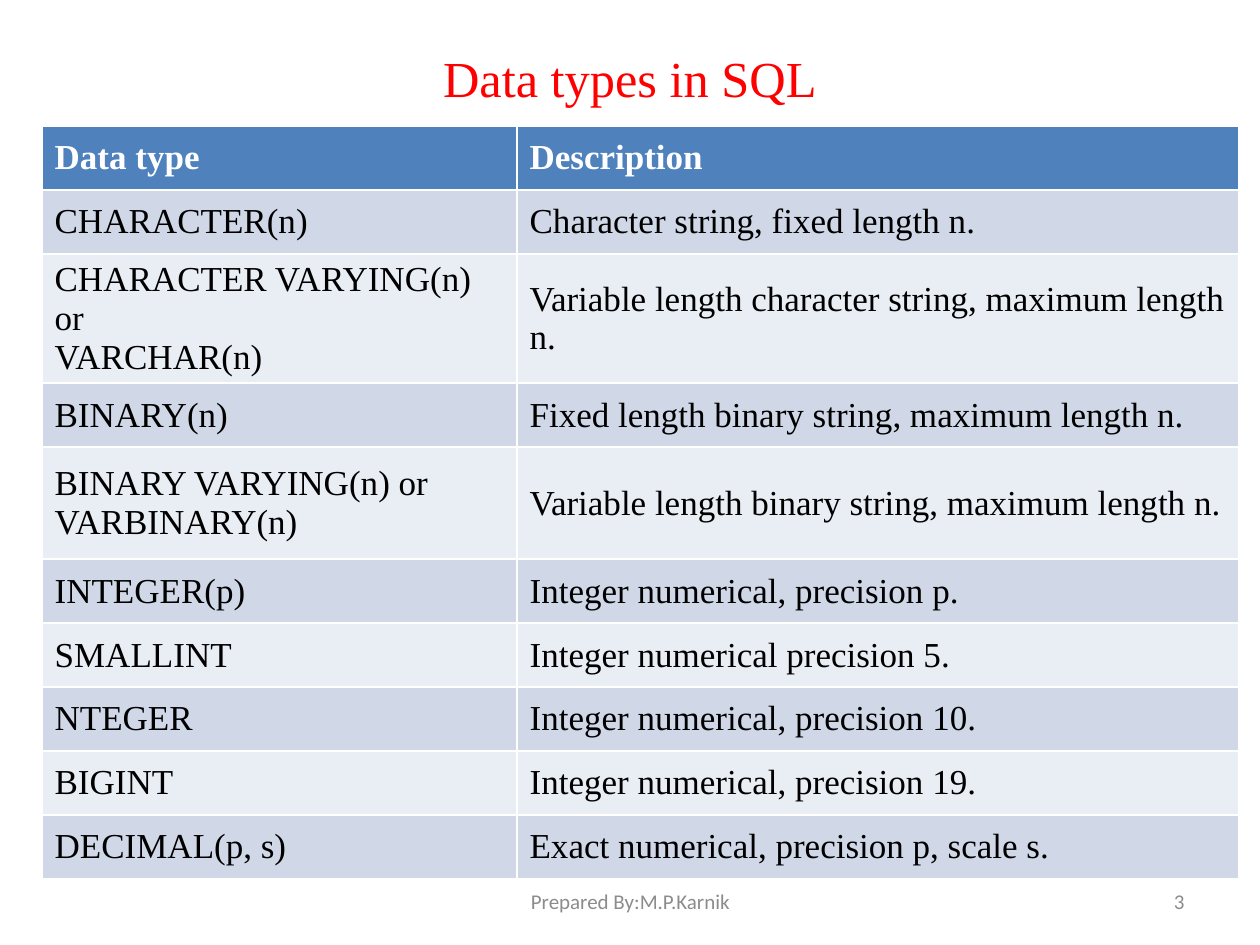
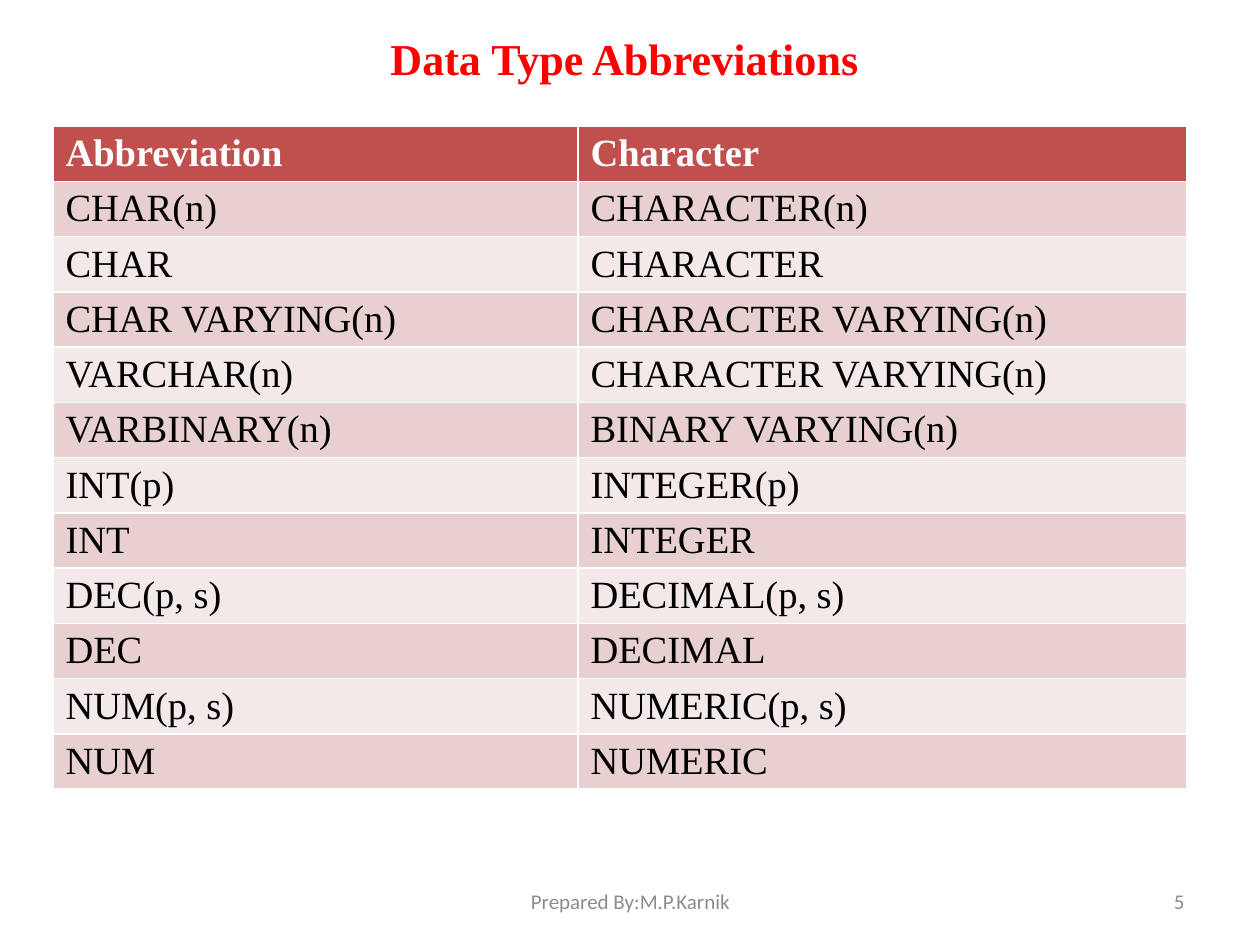
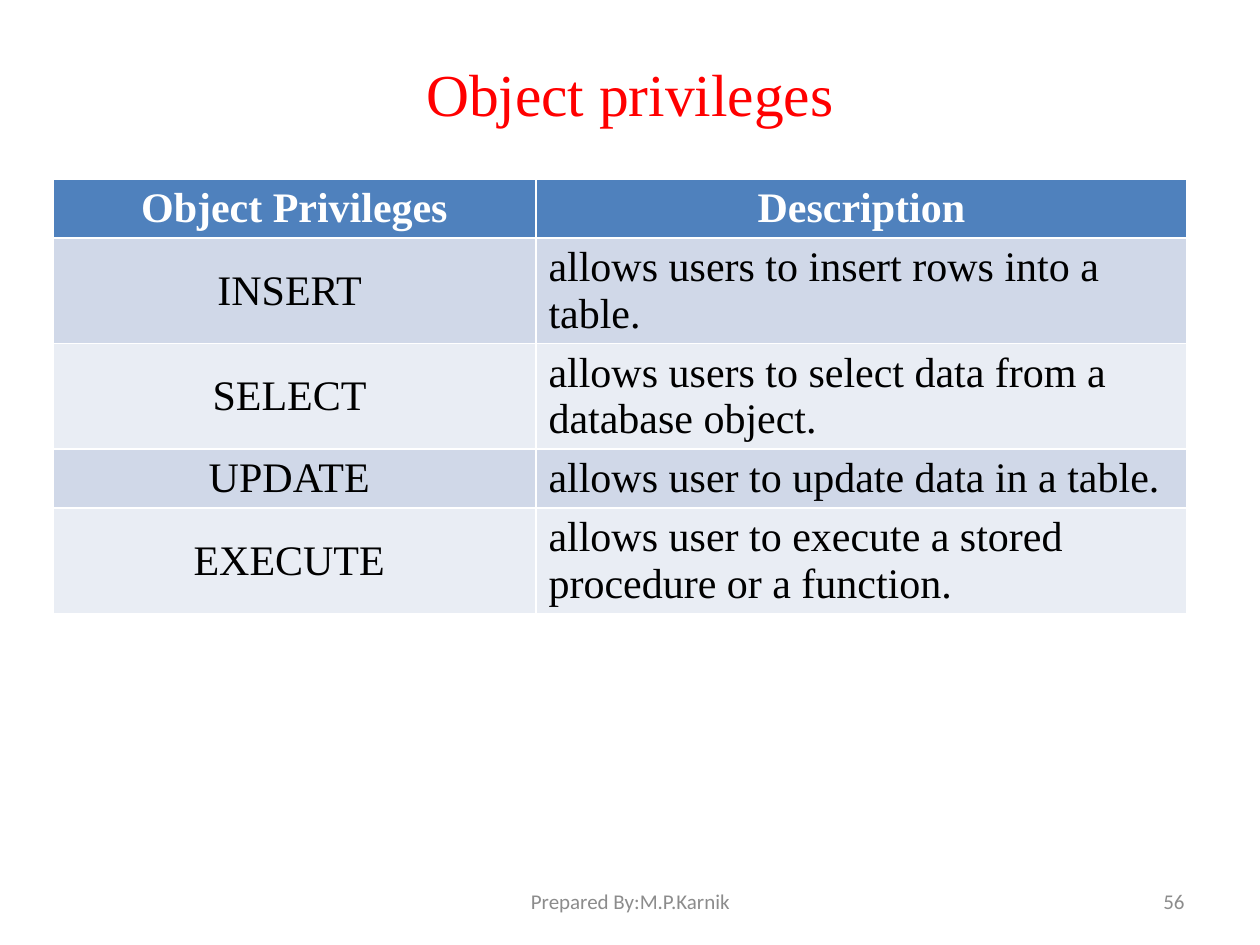
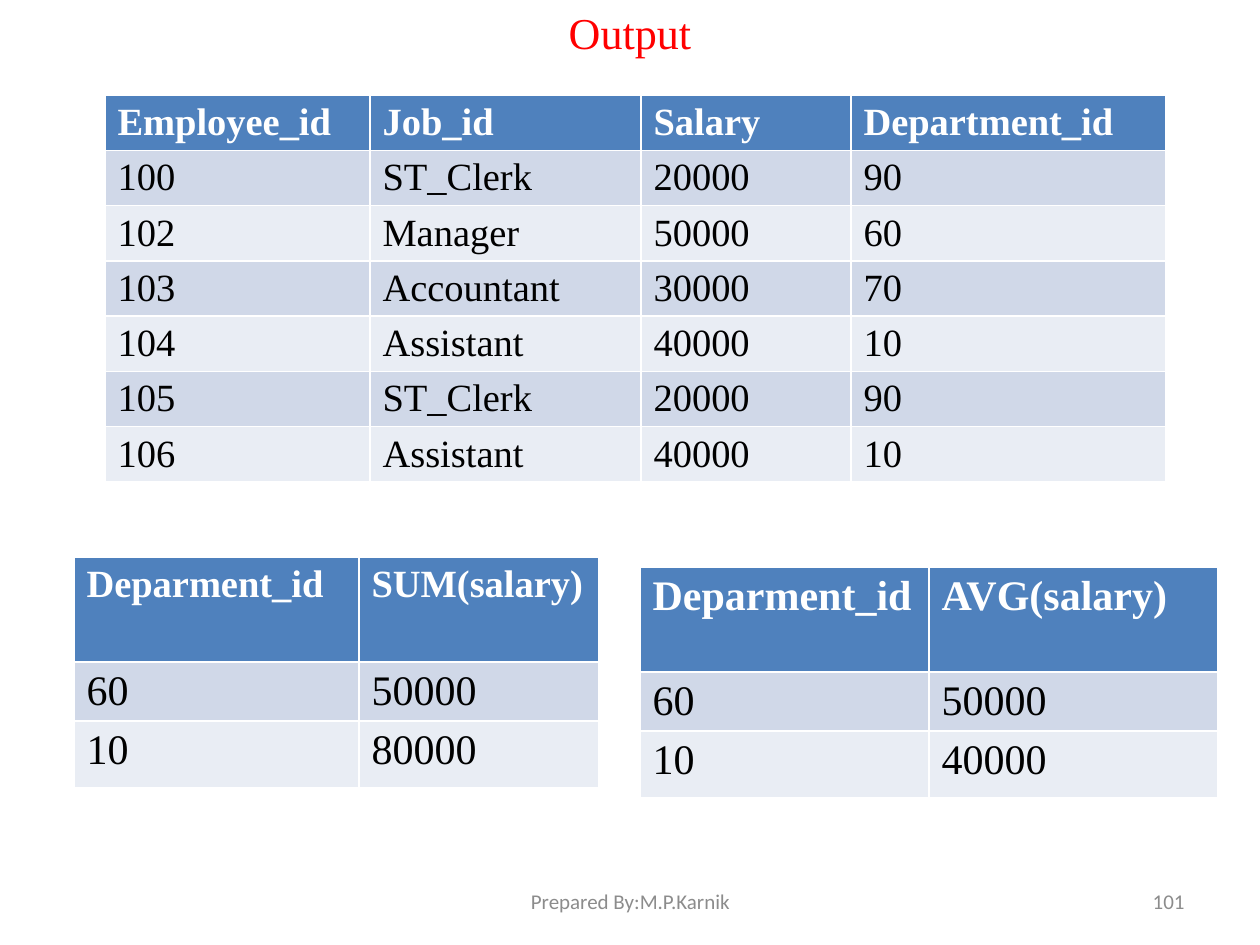
from pptx import Presentation
from pptx.dml.color import RGBColor
from pptx.enum.text import MSO_ANCHOR, MSO_AUTO_SIZE, PP_ALIGN
from pptx.util import Emu, Pt

TOP, MIDDLE = MSO_ANCHOR.TOP, MSO_ANCHOR.MIDDLE
LEFT, CENTER, RIGHT = PP_ALIGN.LEFT, PP_ALIGN.CENTER, PP_ALIGN.RIGHT
NO_FIT = MSO_AUTO_SIZE.NONE

RED = RGBColor(0xFF, 0x00, 0x00)
WHITE = RGBColor(0xFF, 0xFF, 0xFF)
BLACK = RGBColor(0x00, 0x00, 0x00)
GREY = RGBColor(0x8C, 0x8C, 0x8C)
BLUES = (RGBColor(0x4F, 0x81, 0xBD), RGBColor(0xD0, 0xD8, 0xE8), RGBColor(0xE9, 0xED, 0xF4))
REDS = (RGBColor(0xC0, 0x50, 0x4D), RGBColor(0xE8, 0xD0, 0xD0), RGBColor(0xF4, 0xE9, 0xE9))

SERIF, SANS = "Times New Roman", "Calibri"
SCALE = 914400 / 126
TITLE_ONLY = 5
ROW = 52


def px(*lengths):
    return [Emu(round(length * SCALE)) for length in lengths]


def write(frame, text, align, font, size, color, bold=False):
    para = frame.paragraphs[0]
    para.text = text
    para.alignment = align
    look = {"name": font, "size": Pt(size), "bold": bold}
    for span in para.runs:
        for name, value in look.items():
            setattr(span.font, name, value)
        span.font.color.rgb = color


data_types = {
    "place": (42, 126, 1197, 761), "columns": (475, 722),
    "heights": (64, 64, 112, 64, 112, 64, 64, 64, 64, 64),
    "sizes": (20, 20), "anchor": MIDDLE,
    "rows": [
        ("Data type ", "Description "),
        ("CHARACTER(n)", "Character string, fixed length n.  "),
        ("CHARACTER VARYING(n) or\nVARCHAR(n)", "Variable length character string, maximum length n."),
        ("BINARY(n)", "Fixed length binary string, maximum length n."),
        ("BINARY VARYING(n) or\nVARBINARY(n)", "Variable length binary string, maximum length n."),
        ("INTEGER(p)", "Integer numerical, precision p."),
        ("SMALLINT", "Integer numerical precision 5."),
        ("NTEGER", "Integer numerical, precision 10."),
        ("BIGINT", "Integer numerical, precision 19."),
        ("DECIMAL(p, s)", "Exact numerical, precision p, scale s."),
    ],
}
abbreviations = {
    "place": (53, 126, 1134, 706), "columns": (525, 609), "heights": (ROW,) * 12,
    "sizes": (22, 22), "anchor": MIDDLE, "palette": REDS,
    "rows": [
        ("Abbreviation ", "Character "),
        ("CHAR(n)", "CHARACTER(n)"),
        ("CHAR", "CHARACTER"),
        ("CHAR VARYING(n)", "CHARACTER VARYING(n)"),
        ("VARCHAR(n)", "CHARACTER VARYING(n)"),
        ("VARBINARY(n)", "BINARY VARYING(n)"),
        ("INT(p)", "INTEGER(p)"),
        ("INT", "INTEGER"),
        ("DEC(p, s)", "DECIMAL(p, s)"),
        ("DEC", "DECIMAL"),
        ("NUM(p, s)", "NUMERIC(p, s)"),
        ("NUM", "NUMERIC"),
    ],
}
privileges = {
    "place": (53, 179, 1134, 466), "columns": (483, 651), "heights": (ROW,) * 5,
    "sizes": (24, 24), "anchor": MIDDLE, "centered": True,
    "rows": [
        ("Object Privileges", "Description"),
        ("INSERT ", "allows users to insert rows into a table."),
        ("SELECT ", "allows users to select data from a database object."),
        ("UPDATE ", "allows user to update data in a table."),
        ("EXECUTE ", "allows user to execute a stored procedure or a function."),
    ],
}
salary_sums = {
    "place": (74, 557, 525, 236), "columns": (285, 240), "heights": (105, ROW, 67),
    "sizes": (22, 24),
    "rows": [("Deparment_id", "SUM(salary)"), ("60", "50000"), ("10", "80000")],
}
employees = {
    "place": (105, 95, 1061, 412), "columns": (265, 271, 210, 315), "heights": (ROW,) * 7,
    "sizes": (22, 22),
    "rows": [
        ("Employee_id", "Job_id", "Salary", "Department_id"),
        ("100", "ST_Clerk", "20000", "90"),
        ("102", "Manager", "50000", "60"),
        ("103", "Accountant", "30000", "70"),
        ("104", "Assistant", "40000", "10"),
        ("105", "ST_Clerk", "20000", "90"),
        ("106", "Assistant", "40000", "10"),
    ],
}
salary_averages = {
    "place": (640, 567, 578, 236), "columns": (289, 289), "heights": (105, ROW, 67),
    "sizes": (24, 24),
    "rows": [("Deparment_id", "AVG(salary)"), ("60", "50000"), ("10", "40000")],
}

pages = [
    {"title": "Data types in SQL", "top": 38, "height": 78, "size": 28.8,
     "number": "3", "tables": [data_types]},
    {"title": "Data Type Abbreviations ", "top": 38, "height": 88, "size": 25.2, "bold": True,
     "bottom_margin": 55, "number": "5", "tables": [abbreviations]},
    {"title": "Object privileges", "top": 38, "height": 110, "size": 34,
     "number": "56", "tables": [privileges]},
    {"title": "Output", "top": 0, "height": 63, "size": 25.2,
     "number": "101", "tables": [salary_sums, employees, salary_averages]},
]

deck = Presentation()
deck.slide_width, deck.slide_height = px(1260, 945)

for page in pages:
    slide = deck.slides.add_slide(deck.slide_layouts[TITLE_ONLY])
    title = slide.shapes.title
    title.left, title.top, title.width, title.height = px(63, page["top"], 1134, page["height"])
    frame = title.text_frame
    frame.auto_size = NO_FIT
    frame.vertical_anchor = MIDDLE
    frame.margin_bottom = px(page.get("bottom_margin", 6))[0]
    write(frame, page["title"], CENTER, SERIF, page["size"], RED, page.get("bold", False))

    for content in page["tables"]:
        rows, columns = content["rows"], content["columns"]
        holder = slide.shapes.add_table(len(rows), len(columns), *px(*content["place"]))
        table = holder.table
        for column, width in zip(table.columns, px(*columns)):
            column.width = width
        for row, height in zip(table.rows, px(*content["heights"])):
            row.height = height
        holder.width, holder.height = px(*content["place"][2:])

        header_fill, odd_fill, even_fill = content.get("palette", BLUES)
        header_size, body_size = content["sizes"]
        for i, texts in enumerate(rows):
            header = i == 0
            fill = header_fill if header else odd_fill if i % 2 else even_fill
            for j, text in enumerate(texts):
                cell = table.cell(i, j)
                cell.vertical_anchor = content.get("anchor", TOP)
                cell.fill.solid()
                cell.fill.fore_color.rgb = fill
                centered = content.get("centered") and (header or j == 0)
                write(cell.text_frame, text, CENTER if centered else LEFT, SERIF,
                      header_size if header else body_size, WHITE if header else BLACK, header)

    for left, width, text, align in [
        (903, 294, page["number"], RIGHT),
        (431, 399, "Prepared By:M.P.Karnik", CENTER),
    ]:
        box = slide.shapes.add_textbox(*px(left, 876, width, 50))
        box.text_frame.word_wrap = True
        box.text_frame.vertical_anchor = MIDDLE
        write(box.text_frame, text, align, SANS, 12, GREY)

deck.save("out.pptx")
